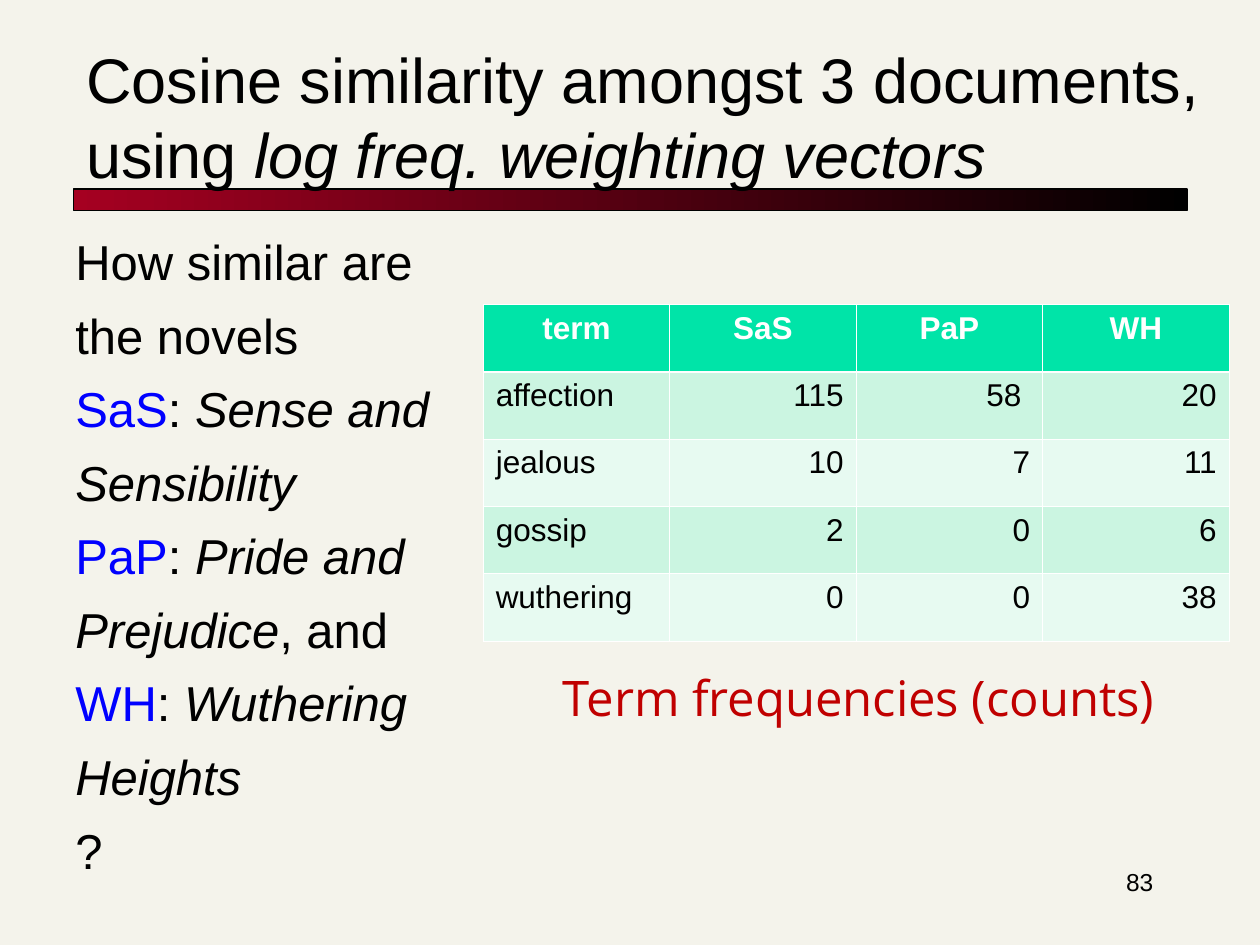
"""Build the slide on cosine similarity amongst three novels."""
from dataclasses import dataclass

from lxml import etree
from pptx import Presentation
from pptx.dml.color import RGBColor
from pptx.enum.shapes import MSO_SHAPE
from pptx.enum.text import MSO_ANCHOR, MSO_AUTO_SIZE, PP_ALIGN
from pptx.oxml.ns import qn
from pptx.slide import Slide
from pptx.table import _Cell
from pptx.text.text import TextFrame, _Paragraph
from pptx.util import Cm, Pt

RECTANGLE = MSO_SHAPE.RECTANGLE
BOTTOM = MSO_ANCHOR.BOTTOM
NO_FIT = MSO_AUTO_SIZE.NONE
LEFT, CENTER, RIGHT = PP_ALIGN.LEFT, PP_ALIGN.CENTER, PP_ALIGN.RIGHT

BLACK = RGBColor(0x00, 0x00, 0x00)
WHITE = RGBColor(0xFF, 0xFF, 0xFF)
CREAM = RGBColor(0xF4, 0xF3, 0xEB)
CRIMSON = RGBColor(0xA5, 0x00, 0x21)
RED = RGBColor(0xC0, 0x00, 0x00)
BLUE = RGBColor(0x00, 0x00, 0xFF)
GREEN = RGBColor(0x00, 0xE4, 0xA8)
BANDS = (RGBColor(0xCB, 0xF5, 0xE1), RGBColor(0xE7, 0xFA, 0xF1))

THIN, THICK = Pt(0.45), Pt(1.47)
TITLE_ONLY = 5


@dataclass(frozen=True)
class Span:
    text: str
    italic: bool = False
    color: RGBColor = BLACK


@dataclass(frozen=True)
class Box:
    left: float
    top: float
    width: float
    height: float

    def lengths(self) -> tuple[Cm, Cm, Cm, Cm]:
        return Cm(self.left), Cm(self.top), Cm(self.width), Cm(self.height)


TITLE = (
    Span("Cosine similarity amongst 3 documents, using "),
    Span("log freq. weighting vectors", italic=True),
)
NOVELS = (
    (Span("How similar are"),),
    (Span("the novels"),),
    (Span("SaS", color=BLUE), Span(": "), Span("Sense and", italic=True)),
    (Span("Sensibility", italic=True),),
    (Span("PaP", color=BLUE), Span(": "), Span("Pride and", italic=True)),
    (Span("Prejudice", italic=True), Span(", and")),
    (Span("WH", color=BLUE), Span(": "), Span("Wuthering", italic=True)),
    (Span("Heights", italic=True),),
    (Span("?"),),
)
FREQUENCIES = (
    ("term", "SaS", "PaP", "WH"),
    ("affection", "115", "58 ", "20"),
    ("jealous", "10", "7", "11"),
    ("gossip", "2", "0", "6"),
    ("wuthering", "0", "0", "38"),
)


def set_font(paragraph: _Paragraph, size: float, color: RGBColor = BLACK,
             name: str = "Arial") -> None:
    font = paragraph.font
    font.name, font.size, font.color.rgb = name, Pt(size), color


def write_spans(paragraph: _Paragraph, spans: tuple[Span, ...], size: float) -> None:
    set_font(paragraph, size)
    for span in spans:
        run = paragraph.add_run()
        run.text = span.text
        if span.italic:
            run.font.italic = True
        if span.color != BLACK:
            run.font.color.rgb = span.color


def add_text(slide: Slide, box: Box, wrap: bool = True) -> TextFrame:
    frame = slide.shapes.add_textbox(*box.lengths()).text_frame
    frame.word_wrap = wrap
    return frame


def add_bar(slide: Slide, box: Box) -> None:
    bar = slide.shapes.add_shape(RECTANGLE, *box.lengths())
    bar.shadow.inherit = False
    bar.fill.gradient()
    bar.fill.gradient_angle = 0
    for stop, color, position in zip(bar.fill.gradient_stops, (CRIMSON, BLACK), (0, 1)):
        stop.color.rgb, stop.position = color, position
    bar.line.color.rgb, bar.line.width = BLACK, Pt(0.75)
    slide.shapes.title._element.addprevious(bar._element)


def add_title(slide: Slide, box: Box) -> None:
    title = slide.shapes.title
    title.left, title.top, title.width, title.height = box.lengths()
    frame = title.text_frame
    frame.vertical_anchor, frame.auto_size, frame.word_wrap = BOTTOM, NO_FIT, True
    heading = frame.paragraphs[0]
    heading.alignment = LEFT
    write_spans(heading, TITLE, 36)


def add_novels(slide: Slide, box: Box) -> None:
    frame = add_text(slide, box)
    for index, spans in enumerate(NOVELS):
        line = frame.add_paragraph() if index else frame.paragraphs[0]
        if index:
            line.space_before = Pt(8.4)
        write_spans(line, spans, 28)


def set_borders(cell: _Cell, top: Pt, bottom: Pt) -> None:
    properties = cell._tc.get_or_add_tcPr()
    for side, width in (("L", THIN), ("R", THIN), ("T", top), ("B", bottom)):
        line = etree.SubElement(properties, qn(f"a:ln{side}"), w=str(int(width)))
        fill = etree.SubElement(line, qn("a:solidFill"))
        etree.SubElement(fill, qn("a:srgbClr"), val=str(WHITE))


def add_frequencies(slide: Slide, box: Box) -> None:
    rows, columns = len(FREQUENCIES), len(FREQUENCIES[0])
    table = slide.shapes.add_table(rows, columns, *box.lengths()).table
    for row, values in enumerate(FREQUENCIES):
        header = row == 0
        for column, value in enumerate(values):
            cell = table.cell(row, column)
            set_borders(cell, THICK if row == 1 else THIN, THICK if header else THIN)
            cell.fill.solid()
            cell.fill.fore_color.rgb = GREEN if header else BANDS[(row - 1) % 2]
            cell.text = value
            entry = cell.text_frame.paragraphs[0]
            entry.alignment = CENTER if header else RIGHT if column else LEFT
            set_font(entry, 18, WHITE if header else BLACK)
            entry.font.bold = header


def main() -> None:
    deck = Presentation()
    deck.slide_width, deck.slide_height = Cm(25.4), Cm(19.05)
    slide = deck.slides.add_slide(deck.slide_layouts[TITLE_ONLY])
    slide.background.fill.solid()
    slide.background.fill.fore_color.rgb = CREAM

    add_bar(slide, Box(1.48, 3.81, 22.45, 0.43))
    number = add_text(slide, Box(18.2, 17.35, 5.3, 1.27)).paragraphs[0]
    number.text, number.alignment = "83", RIGHT
    set_font(number, 14)
    add_title(slide, Box(1.48, 0.76, 23.92, 3.23))
    add_frequencies(slide, Box(9.74, 6.14, 15.04, 6.78))
    add_novels(slide, Box(1.27, 4.55, 8.36, 13.03))
    caption = add_text(slide, Box(11.1, 13.34, 12.6, 1.45), wrap=False).paragraphs[0]
    caption.text = "Term frequencies (counts)"
    set_font(caption, 28, RED, "Open Sans")

    deck.save("out.pptx")


if __name__ == "__main__":
    main()
